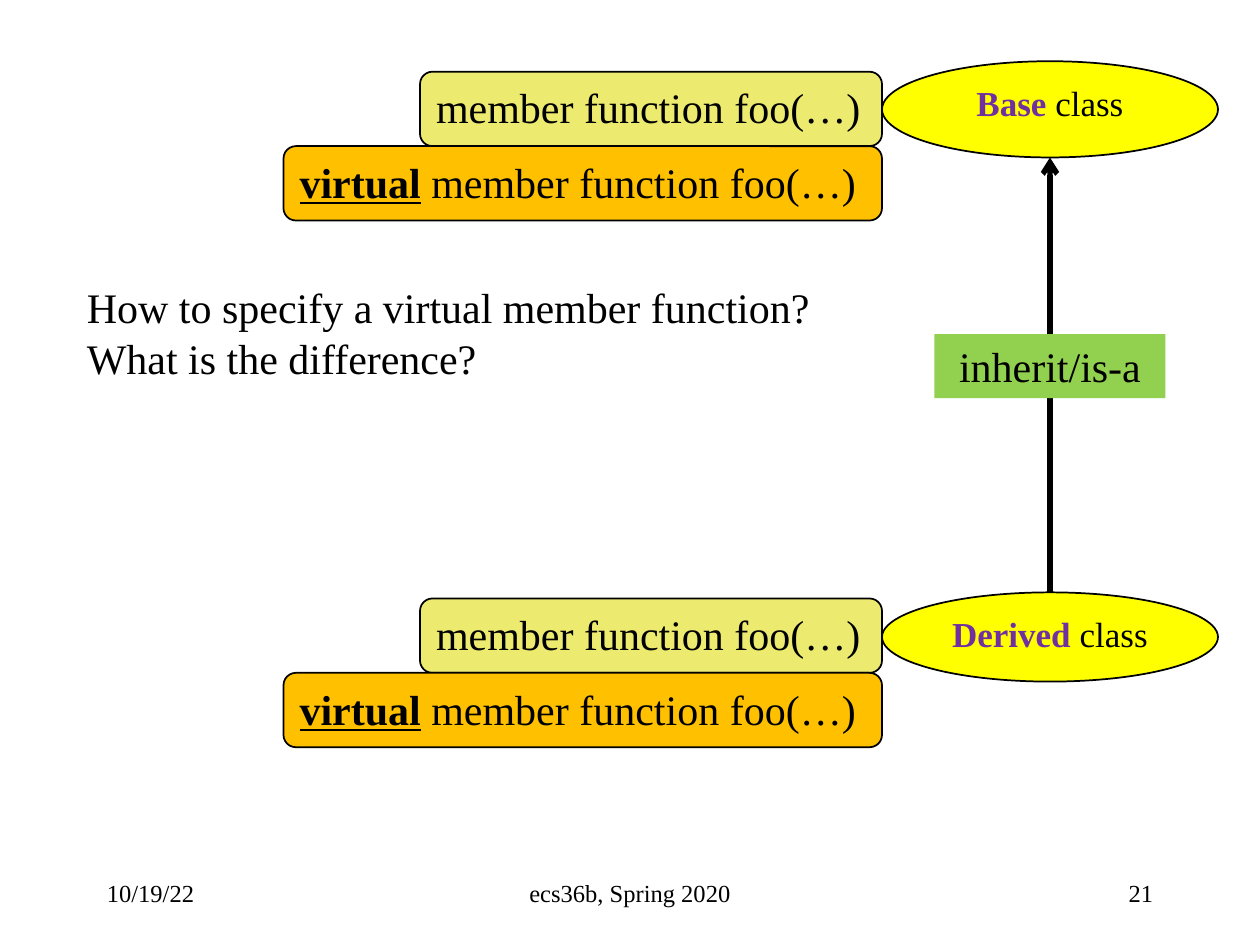
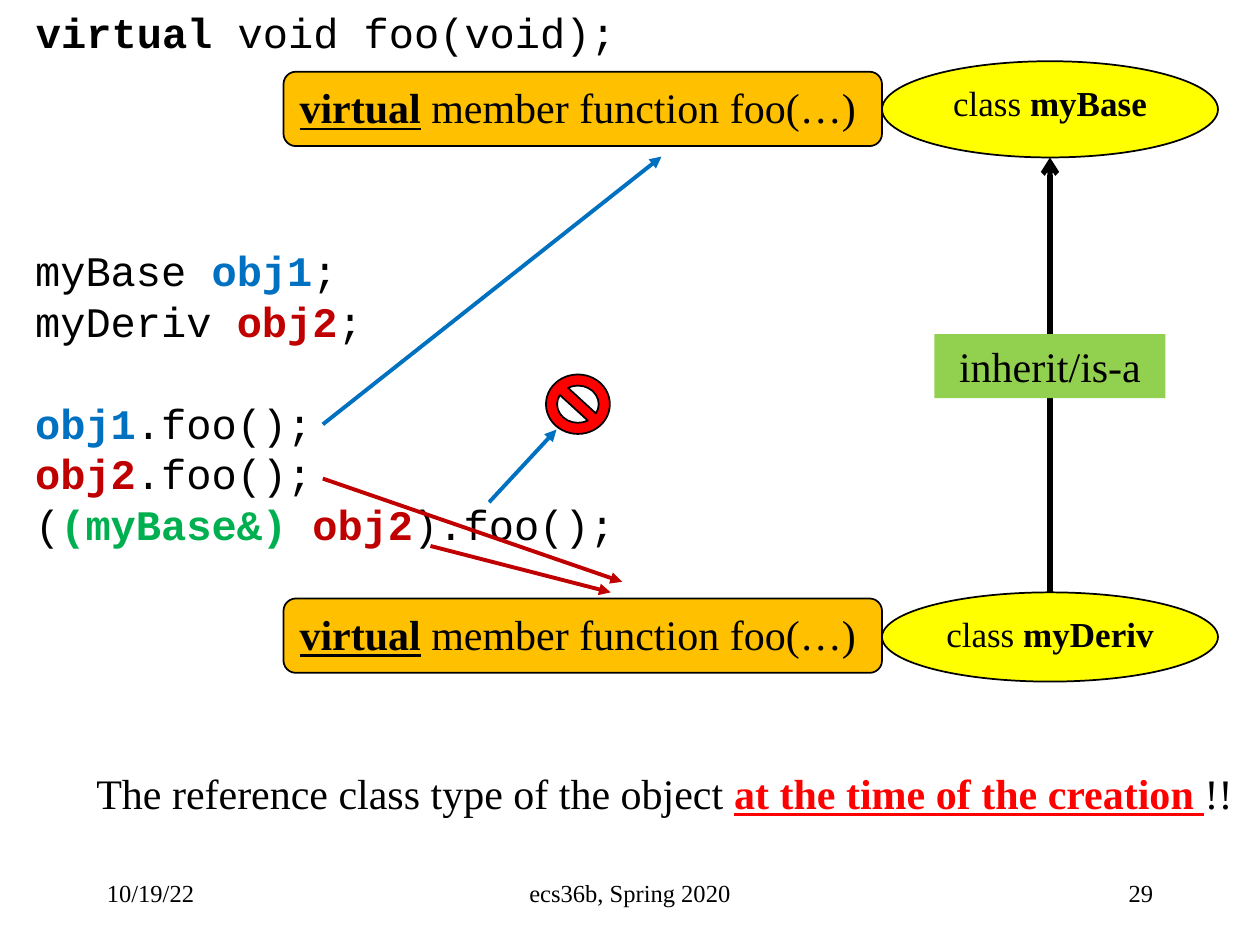
from lxml import etree
from pptx import Presentation
from pptx.dml.color import RGBColor
from pptx.enum.shapes import MSO_CONNECTOR as Connector, MSO_SHAPE as Shape
from pptx.enum.text import MSO_ANCHOR as Anchor, MSO_AUTO_SIZE as AutoSize, PP_ALIGN as Align
from pptx.oxml.ns import qn
from pptx.util import Pt

COLORS = {
    "black": "000000", "yellow": "FFFF00", "green": "92D050", "khaki": "EDEA70",
    "orange": "FFC000", "purple": "7030A0", "blue": "0070C0", "dark_red": "C00000",
    "cast_green": "00B050", "red": "FF0000",
}
SERIF, MONO = "Times New Roman", "Courier New"
LINE_HEIGHT = 1.21  # line pitch relative to the font size

# Shared geometry: left, top, width, height in points
BASE_BOX = (504, 35, 192, 55)
DERIVED_BOX = (504, 338.5, 192, 51)
BASE_MEMBERS_TOP, DERIVED_MEMBERS_TOP = 41, 342
MEMBER_HEIGHT = 42.5

# A run is (text, color, style); style letters: b = bold, u = underline
PLAIN_MEMBER = ("khaki", 264, [("member function foo(…)", "black", "")])
VIRTUAL_MEMBER = ("orange", 342, [("virtual", "black", "bu"),
                                  (" member function foo(…)", "black", "")])


def rgb(name):
    return RGBColor.from_string(COLORS[name])


def write(shape, lines, size, font=SERIF, align=Align.LEFT, anchor=Anchor.TOP, pitch=LINE_HEIGHT):
    """Fill the shape with lines, each a list of runs."""
    frame = shape.text_frame
    frame.vertical_anchor = anchor
    frame.text = "\n".join("" for _ in lines)
    for paragraph, runs in zip(frame.paragraphs, lines):
        paragraph.alignment = align
        if pitch:
            paragraph.line_spacing = Pt(size * pitch)
        for text, color, style in runs:
            run = paragraph.add_run()
            run.text = text
            run.font.name = font
            run.font.size = Pt(size)
            run.font.bold = "b" in style
            run.font.underline = "u" in style
            run.font.color.rgb = rgb(color)
    return frame


def add_shape(slide, kind, box, fill, outlined=True):
    shape = slide.shapes.add_shape(kind, *map(Pt, box))
    shape.shadow.inherit = False
    shape.fill.solid()
    shape.fill.fore_color.rgb = rgb(fill)
    if outlined:
        shape.line.color.rgb = rgb("black")
        shape.line.width = Pt(1)
    else:
        shape.line.fill.background()
    shape.text_frame.word_wrap = True
    return shape


def add_text(slide, box, lines, font=SERIF):
    text_box = slide.shapes.add_textbox(*map(Pt, box))
    frame = write(text_box, lines, 24, font)
    frame.word_wrap = False
    frame.auto_size = AutoSize.SHAPE_TO_FIT_TEXT
    return frame


def add_arrow(slide, start, end, color, width, head="triangle"):
    arrow = slide.shapes.add_connector(Connector.STRAIGHT, *map(Pt, start + end))
    arrow.line.color.rgb = rgb(color)
    arrow.line.width = Pt(width)
    etree.SubElement(arrow.line._get_or_add_ln(), qn("a:tailEnd"), type=head)
    etree.SubElement(arrow._element.spPr, qn("a:effectLst"))


def add_footer(slide, number):
    parts = [(54, 150, "10/19/22", Align.LEFT),
             (246, 228, "ecs36b, Spring 2020", Align.CENTER),
             (516, 150, number, Align.RIGHT)]
    for left, width, text, align in parts:
        text_box = slide.shapes.add_textbox(Pt(left), Pt(492), Pt(width), Pt(36))
        frame = write(text_box, [[(text, "black", "")]], 14, align=align,
                      anchor=Anchor.MIDDLE, pitch=None)
        frame.word_wrap = True


def add_hierarchy(slide, base_name, derived_name):
    """Two class ellipses joined by a labelled inheritance arrow."""
    for box, name in ((BASE_BOX, base_name), (DERIVED_BOX, derived_name)):
        ellipse = add_shape(slide, Shape.OVAL, box, "yellow")
        write(ellipse, [name], 20, align=Align.CENTER)
    left, top, width, height = BASE_BOX
    center = left + width / 2
    add_arrow(slide, (center, DERIVED_BOX[1]), (center, top + height), "black", 3, "arrow")
    label = add_shape(slide, Shape.RECTANGLE, (center - 66, 191, 132, 36.5), "green", False)
    write(label, [[("inherit/is-a", "black", "")]], 24, align=Align.CENTER)


def add_members(slide, top, members):
    """Stack member boxes against the left end of a class ellipse."""
    for row, (fill, width, runs) in enumerate(members):
        box = (BASE_BOX[0] - width, top + row * MEMBER_HEIGHT, width, MEMBER_HEIGHT)
        member = add_shape(slide, Shape.ROUNDED_RECTANGLE, box, fill)
        write(member, [runs], 24)


def add_class_slide(presentation, number, base_name, derived_name, members):
    slide = presentation.slides.add_slide(presentation.slide_layouts[6])
    add_footer(slide, number)
    add_hierarchy(slide, base_name, derived_name)
    for top in (BASE_MEMBERS_TOP, DERIVED_MEMBERS_TOP):
        add_members(slide, top, members)
    return slide


def build_question_slide(presentation):
    names = [[(name, "purple", "b"), (" class", "black", "")] for name in ("Base", "Derived")]
    slide = add_class_slide(presentation, "21", *names, [PLAIN_MEMBER, VIRTUAL_MEMBER])
    add_text(slide, (42.5, 157, 431, 65.5),
             [[("How to specify a virtual member function?", "black", "")],
              [("What is the difference?", "black", "")]])


def build_dispatch_slide(presentation):
    names = [[("class ", "black", ""), (name, "black", "b")] for name in ("myBase", "myDeriv")]
    slide = add_class_slide(presentation, "29", *names, [VIRTUAL_MEMBER])

    # Code
    first, second = ("obj1", "blue", "b"), ("obj2", "dark_red", "b")
    call = (".foo();", "black", "")
    code = add_text(slide, (13, 136, 348.5, 181.5), [
        [("myBase ", "black", ""), first, (";", "black", "")],
        [("myDeriv ", "black", ""), second, (";", "black", "")],
        [first, call],
        [second, call],
        [("(", "black", ""), ("(myBase&) ", "cast_green", "b"), second,
         (").foo();", "black", "")],
    ], MONO)
    code.paragraphs[2].space_before = Pt(24 * LINE_HEIGHT)
    add_text(slide, (13.5, 0, 348.5, 36.5),
             [[("virtual", "black", "b"), (" void foo(void);", "black", "")]], MONO)

    # Which function each call reaches
    for start, end, color in [((184.5, 242.5), (378, 89.5), "blue"),
                              ((184.5, 273.5), (355.5, 332.5), "dark_red"),
                              ((246, 312), (349, 338.5), "dark_red"),
                              ((279.5, 287), (318, 245.5), "blue")]:
        add_arrow(slide, start, end, color, 2.25)
    add_shape(slide, Shape.NO_SYMBOL, (312, 214, 36.5, 34), "red")

    # Conclusion
    add_text(slide, (48, 435, 664, 36.5),
             [[("The reference class type of the object ", "black", ""),
               ("at the time of the creation ", "red", "bu"), ("!!", "black", "")]])


def main():
    presentation = Presentation()
    presentation.slide_width, presentation.slide_height = Pt(720), Pt(540)
    build_question_slide(presentation)
    build_dispatch_slide(presentation)
    presentation.save("out.pptx")


if __name__ == "__main__":
    main()
